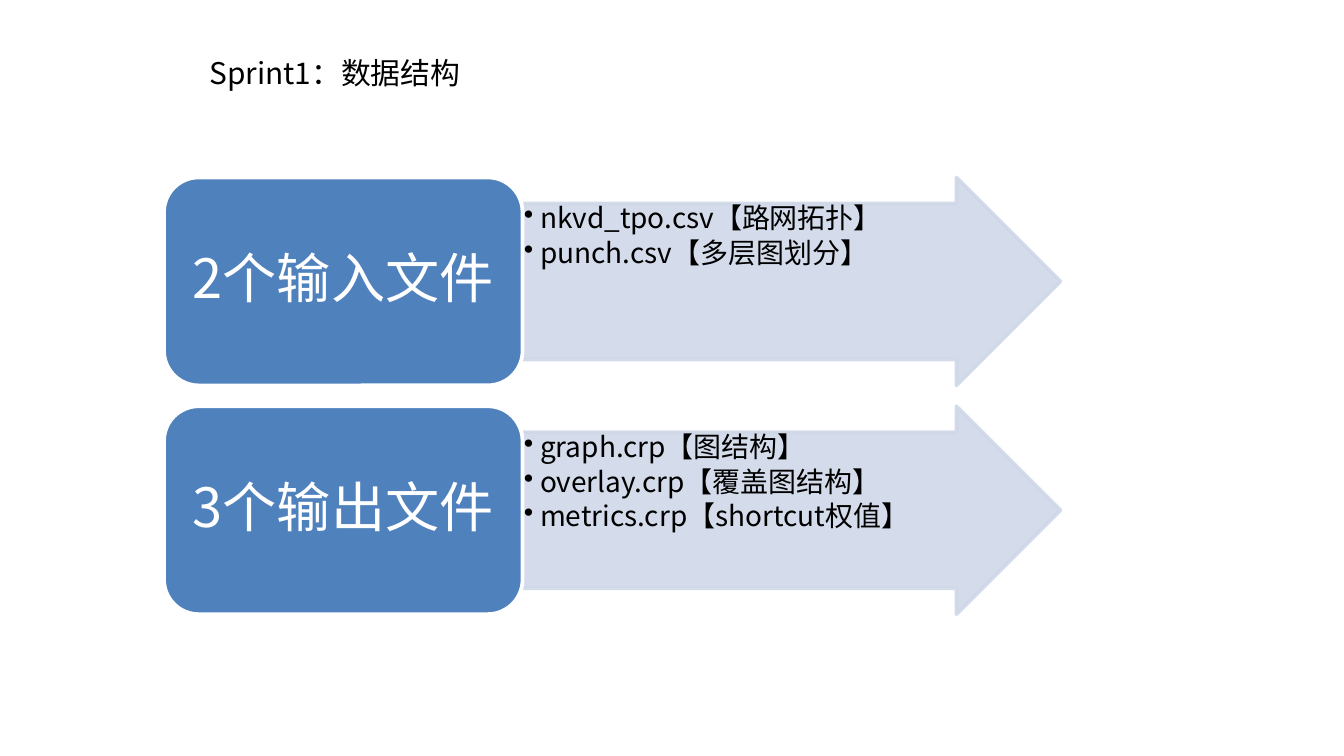
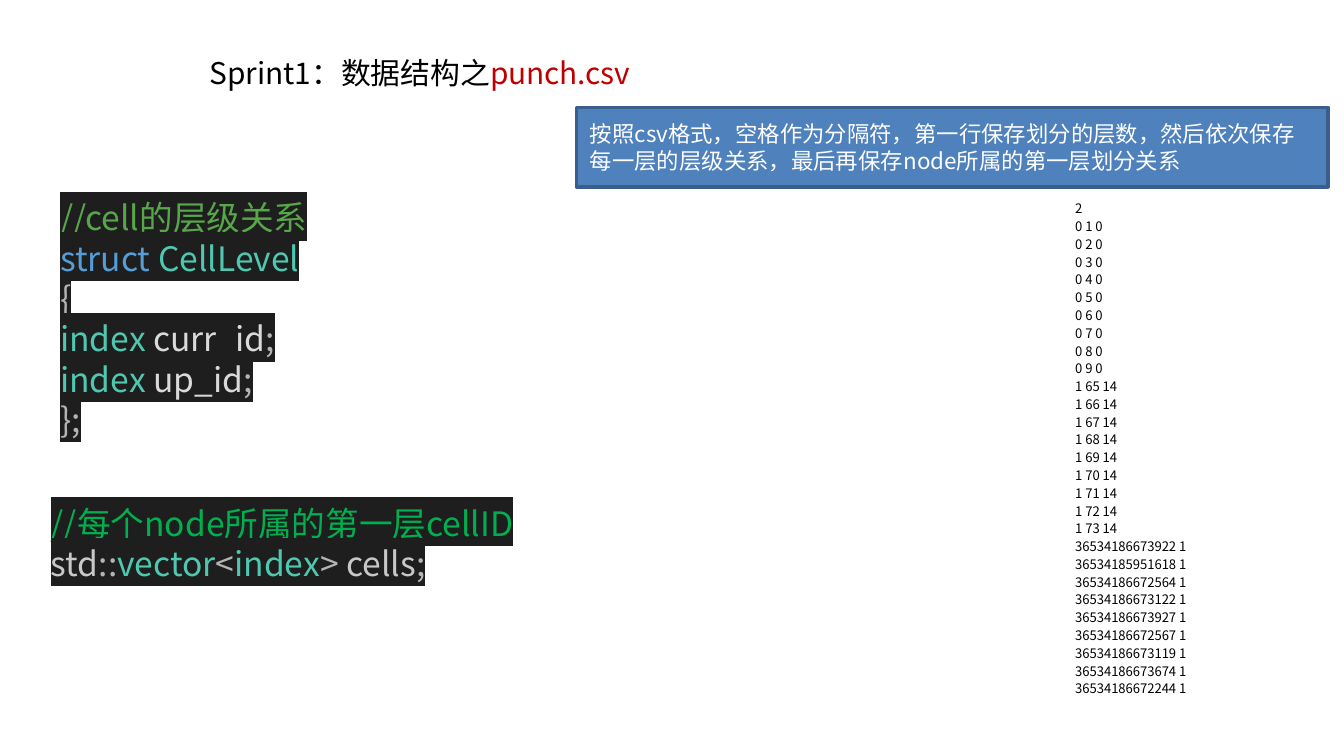
from collections import namedtuple

from lxml import etree
from pptx import Presentation
from pptx.dml.color import RGBColor
from pptx.enum.shapes import MSO_SHAPE
from pptx.enum.text import MSO_ANCHOR, PP_ALIGN
from pptx.oxml.ns import qn
from pptx.util import Inches, Pt

TOP, MIDDLE, BOTTOM = MSO_ANCHOR.TOP, MSO_ANCHOR.MIDDLE, MSO_ANCHOR.BOTTOM
LEFT, CENTER = PP_ALIGN.LEFT, PP_ALIGN.CENTER
ROUNDED, ARROW, RECTANGLE = (
    MSO_SHAPE.ROUNDED_RECTANGLE, MSO_SHAPE.RIGHT_ARROW, MSO_SHAPE.RECTANGLE)

WIDTH = Inches(10)
HEIGHT = WIDTH * 9 // 16
FONT = "Noto Sans CJK SC"
BLACK, WHITE, BLUE, PALE = "000000", "FFFFFF", "4F81BD", "D0D8E8"
NOTE_EDGE, RED, CODE_BACK = "3A5F8C", "C00000", "1E1E1E"
COMMENT, NODE_COMMENT, KEYWORD, TYPE = "57A64A", "00B050", "569CD6", "4EC9B0"
PLAIN, MEMBER, NAME, SIGN = "DCDCDC", "DADADA", "C8C8C8", "B4B4B4"

Box = namedtuple("Box", "left top width height")

FILE_GROUPS = [
    ("2个输入文件", ["nkvd_tpo.csv【路网拓扑】", "punch.csv【多层图划分】"]),
    ("3个输出文件", ["graph.crp【图结构】", "overlay.crp【覆盖图结构】",
                "metrics.crp【shortcut权值】"]),
]


def member_line(name):
    return [("index", TYPE), (" ", PLAIN), (name, MEMBER), (";", SIGN)]


CELL_LEVEL_CODE = [
    [("//cell的层级关系", COMMENT)],
    [("struct", KEYWORD), (" ", PLAIN), ("CellLevel", TYPE)],
    [("{", SIGN)],
    member_line("curr_id"),
    member_line("up_id"),
    [("};", SIGN)],
]
CELLS_CODE = [
    [("//每个node所属的第一层cellID", NODE_COMMENT)],
    [("std", NAME), ("::", SIGN), ("vector", TYPE), ("<", SIGN),
     ("index", TYPE), (">", SIGN), (" ", PLAIN), ("cells", NAME), (";", SIGN)],
]
NOTE = ("按照csv格式，空格作为分隔符，第一行保存划分的层数，"
        "然后依次保存每一层的层级关系，最后再保存node所属的第一层划分关系")
NODES = ["36534186673922", "36534185951618", "36534186672564",
         "36534186673122", "36534186673927", "36534186672567",
         "36534186673119", "36534186673674", "36534186672244"]
PUNCH_ROWS = (["2"]
              + [f"0 {cell} 0" for cell in range(1, 10)]
              + [f"1 {cell} 14" for cell in range(65, 74)]
              + [f"{node} 1" for node in NODES])


def color(value):
    return RGBColor.from_string(value)


def share(left, top, width, height):
    """Box given in percent of the slide's size."""
    return Box(int(WIDTH * left / 100), int(HEIGHT * top / 100),
               int(WIDTH * width / 100), int(HEIGHT * height / 100))


def set_values(target, values):
    for name, value in values.items():
        setattr(target, name, value)


def set_margins(target, left, top, right, bottom):
    set_values(target, {
        "margin_left": Inches(left), "margin_top": Inches(top),
        "margin_right": Inches(right), "margin_bottom": Inches(bottom)})


def add_span(para, text, size, ink, highlight=None):
    span = para.add_run()
    span.text = text
    set_values(span.font, {"size": Pt(size), "name": FONT})
    span.font.color.rgb = color(ink)
    latin = span.font._element.find(qn("a:latin"))
    latin.addnext(etree.Element(qn("a:ea"), typeface=FONT))
    if highlight:
        mark = etree.Element(qn("a:highlight"))
        etree.SubElement(mark, qn("a:srgbClr"), val=highlight)
        latin.addprevious(mark)


def add_bullet(para, indent):
    properties = para._p.get_or_add_pPr()
    properties.set("marL", str(indent))
    properties.set("indent", str(-indent))
    etree.SubElement(properties, qn("a:buChar"), char="•")


def write(frame, lines, size, bullet=0, highlight=None, **formats):
    """Each line is a list of (text, colour) spans."""
    for index, line in enumerate(lines):
        para = frame.add_paragraph() if index else frame.paragraphs[0]
        if bullet:
            add_bullet(para, bullet)
        set_values(para, {"alignment": LEFT, **formats})
        for text, ink in line:
            add_span(para, text, size, ink, highlight)


def add_text(page, box, lines, size, anchor=TOP,
             margins=(0.1, 0.05, 0.1, 0.05), **formats):
    frame = page.shapes.add_textbox(*box).text_frame
    set_values(frame, {"word_wrap": True, "vertical_anchor": anchor})
    set_margins(frame, *margins)
    write(frame, lines, size, **formats)


def add_block(page, kind, box, fill, edge):
    shape = page.shapes.add_shape(kind, *box)
    shape.shadow.inherit = False
    shape.fill.solid()
    shape.fill.fore_color.rgb = color(fill)
    shape.line.color.rgb = color(edge)
    shape.line.width = Pt(2)
    return shape


def set_opacity(shape, percent):
    for tint in shape._element.spPr.iter(qn("a:srgbClr")):
        etree.SubElement(tint, qn("a:alpha"), val=str(percent * 1000))


def add_page(deck, title):
    page = deck.slides.add_slide(deck.slide_layouts[6])
    add_text(page, share(14.6, 4.09, 80.3, 11.02), [title], 16, MIDDLE)
    return page


def add_file_list(page, box, files):
    arrow = add_block(page, ARROW, box, PALE, PALE)
    arrow.adjustments[0], arrow.adjustments[1] = 0.75, 0.5
    set_opacity(arrow, 90)
    # Text fills the shaft of the arrow
    shaft = Box(box.left, box.top + box.height // 8,
                int(box.width * 0.855), box.height * 3 // 4)
    add_text(page, shaft, [[(name, BLACK)] for name in files], 15,
             margins=(0.01,) * 4, bullet=Inches(0.12),
             line_spacing=0.9, space_after=Pt(2.25))


def add_file_label(page, box, heading):
    add_block(page, ROUNDED, box, BLUE, WHITE)
    # Text stays clear of the round corners
    inset = box.height // 20
    inner = Box(box.left + inset, box.top + inset,
                box.width - 2 * inset, box.height - 2 * inset)
    add_text(page, inner, [[(heading, WHITE)]], 29, MIDDLE,
             margins=(0.12, 0.06, 0.12, 0.06),
             alignment=CENTER, line_spacing=0.9)


def add_file_groups(page, box):
    # Gap between rows is a tenth of a row
    count = len(FILE_GROUPS)
    height = int(box.height / (count + 0.1 * (count - 1)))
    label_width = int(box.width * 0.4)
    for index, (heading, files) in enumerate(FILE_GROUPS):
        top = box.top + int(index * height * 1.1)
        add_file_list(page, Box(box.left + label_width, top,
                                box.width - label_width, height), files)
        add_file_label(page, Box(box.left, top, label_width, height), heading)


def add_note(page, box):
    note = add_block(page, RECTANGLE, box, BLUE, NOTE_EDGE)
    set_values(note.text_frame, {"word_wrap": True, "vertical_anchor": MIDDLE})
    write(note.text_frame, [[(NOTE, WHITE)]], 12)


def add_punch_table(page, box):
    table = page.shapes.add_table(len(PUNCH_ROWS), 1, *box).table
    set_values(table, {"first_row": False, "horz_banding": False})
    for row, text in zip(table.rows, PUNCH_ROWS):
        row.height = box.height // len(PUNCH_ROWS)
        cell = row.cells[0]
        cell.fill.background()
        cell.vertical_anchor = MIDDLE
        set_margins(cell, 0.01, 0.01, 0.01, 0)
        write(cell.text_frame, [[(text, BLACK)]], 7)


def build_files_page(deck):
    page = add_page(deck, [("Sprint1：数据结构", BLACK)])
    add_file_groups(page, share(12.2, 23.47, 66.7, 57.78))


def build_punch_page(deck):
    page = add_page(deck, [("Sprint1：数据结构之", BLACK), ("punch.csv", RED)])
    add_text(page, share(3.5, 25.24, 50, 34.13), CELL_LEVEL_CODE, 18,
             highlight=CODE_BACK)
    add_text(page, share(2.8, 60.09, 40.2, 17.96), CELLS_CODE, 18, BOTTOM,
             highlight=CODE_BACK)
    add_note(page, share(42.9, 14.22, 55.9, 10.49))
    add_punch_table(page, share(79.9, 26.13, 15.9, 65.96))


def main():
    deck = Presentation()
    set_values(deck, {"slide_width": WIDTH, "slide_height": HEIGHT})
    build_files_page(deck)
    build_punch_page(deck)
    deck.save("out.pptx")


if __name__ == "__main__":
    main()
